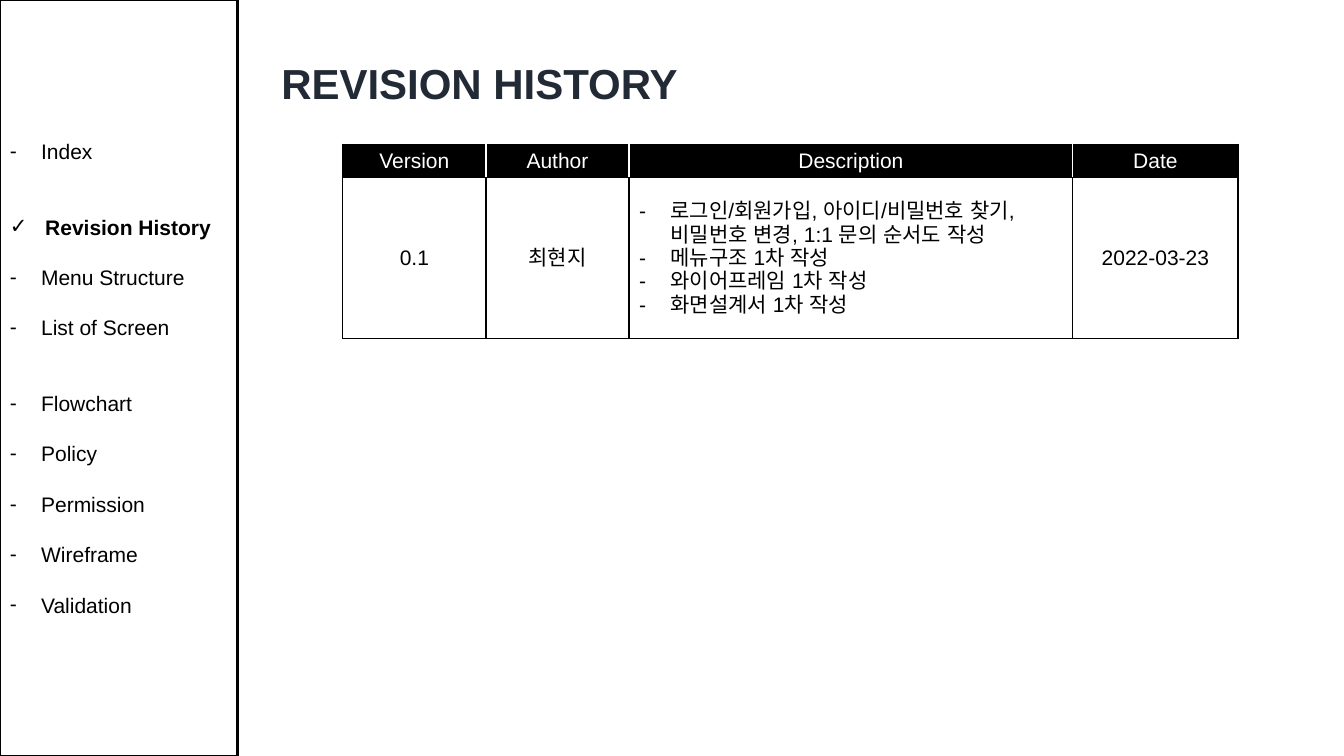
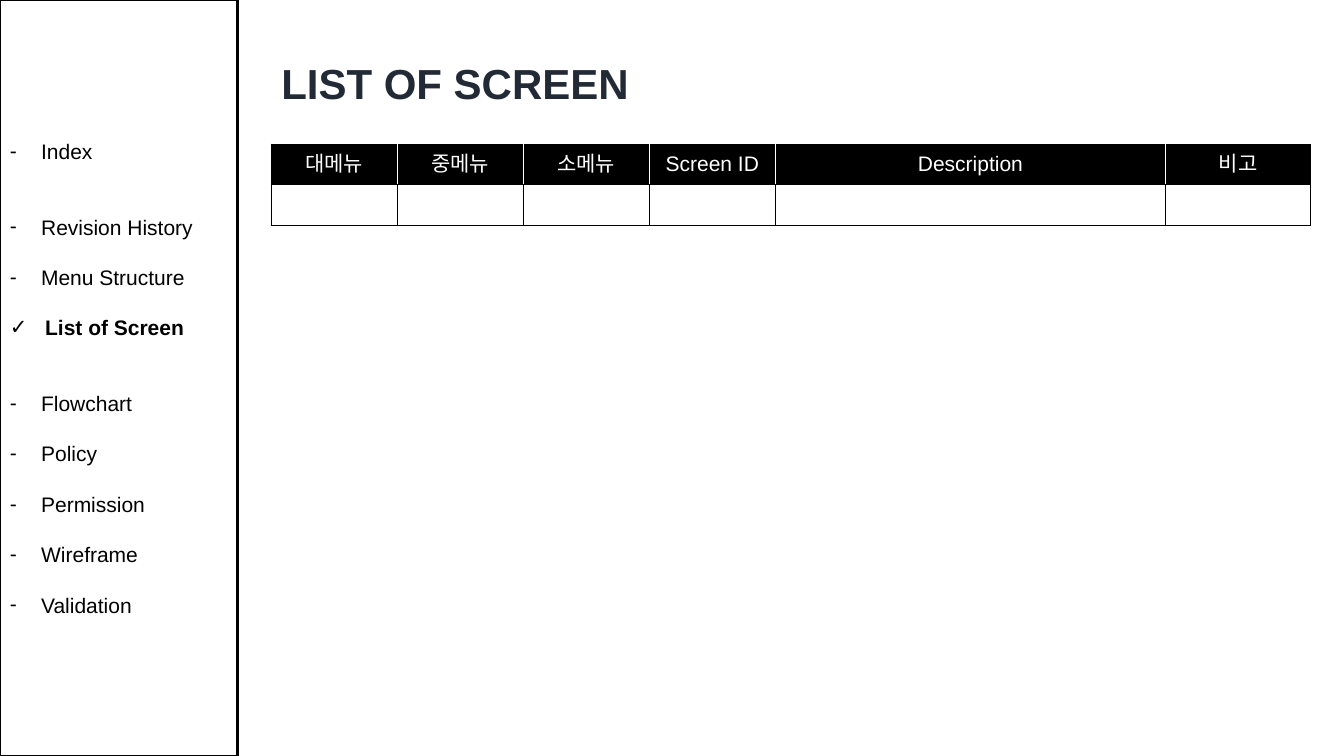
from lxml.etree import SubElement
from pptx import Presentation
from pptx.dml.color import RGBColor
from pptx.enum.shapes import MSO_SHAPE
from pptx.enum.text import MSO_ANCHOR, PP_ALIGN
from pptx.oxml.ns import qn
from pptx.util import Inches, Pt

BLACK, WHITE, NAVY = "000000", "FFFFFF", "222A35"
MENU = [
    ["Index"],
    ["Revision History", "Menu Structure", "List of Screen"],
    ["Flowchart", "Policy", "Permission", "Wireframe", "Validation"],
]


def rgb(color):
    return RGBColor.from_string(color)


class Deck:
    font = "Arial"
    size = 15
    title_size = 30
    line_pitch = 18

    def __init__(self):
        self.prs = Presentation()
        self.prs.slide_width = Inches(13.33)
        self.prs.slide_height = Inches(7.5)

    def slide(self, title, current):
        self.s = self.prs.slides.add_slide(self.prs.slide_layouts[5])
        self.title(title)
        return current

    def run(self, p, text, color=BLACK, size=size, bold=False):
        r = p.add_run()
        r.text = text
        r.font.size = Pt(size)
        r.font.bold = bold
        r.font.name = self.font
        r.font.color.rgb = rgb(color)
        SubElement(r._r.get_or_add_rPr(), qn("a:ea"), typeface=self.font)

    def bullet(self, p, char="-", indent=0.31):
        p.alignment = PP_ALIGN.LEFT
        pPr = p._p.get_or_add_pPr()
        pPr.set("marL", str(Inches(indent)))
        pPr.set("indent", str(-Inches(indent)))
        SubElement(pPr, qn("a:buFont"), typeface=self.font)
        SubElement(pPr, qn("a:buChar"), char=char)

    def title(self, text):
        sp = self.s.shapes.title
        sp.left, sp.top = Inches(2.69), Inches(0.31)
        sp.width, sp.height = Inches(10.33), Inches(1.02)
        tf = sp.text_frame
        tf.word_wrap = True
        tf.vertical_anchor = MSO_ANCHOR.MIDDLE
        p = tf.paragraphs[0]
        p.alignment = PP_ALIGN.LEFT
        self.run(p, text, NAVY, self.title_size, True)

    def sidebar(self, current):
        sp = self.s.shapes.add_shape(
            MSO_SHAPE.RECTANGLE, 0, 0, Inches(2.36), Inches(7.5))
        sp.shadow.inherit = False
        sp.fill.solid()
        sp.fill.fore_color.rgb = rgb(WHITE)
        sp.line.color.rgb = rgb(BLACK)
        sp.line.width = Pt(2)
        tf = sp.text_frame
        tf.word_wrap = True
        tf.vertical_anchor = MSO_ANCHOR.MIDDLE
        for g, group in enumerate(MENU):
            for i, item in enumerate(group):
                first = g == i == 0
                p = tf.paragraphs[0] if first else tf.add_paragraph()
                p.line_spacing = Pt(self.line_pitch)
                if not first:
                    p.space_before = Pt(self.line_pitch * (1 if i else 2))
                active = item == current
                self.bullet(p, *(("✓", 0.35) if active else ()))
                self.run(p, item, bold=active)

    def borders(self, cell, left, right):
        tcPr = cell._tc.get_or_add_tcPr()
        edges = {"L": left, "R": right, "T": BLACK, "B": BLACK}
        for i, (edge, color) in enumerate(edges.items()):
            ln = tcPr.makeelement(qn(f"a:ln{edge}"), {"w": str(Pt(1))})
            fill = SubElement(ln, qn("a:solidFill"))
            SubElement(fill, qn("a:srgbClr"), val=color)
            tcPr.insert(i, ln)

    def cell(self, cell, content, header, left, right):
        cell.fill.solid()
        cell.fill.fore_color.rgb = rgb(BLACK if header else WHITE)
        cell.vertical_anchor = MSO_ANCHOR.MIDDLE
        self.borders(cell, left, right)
        tf = cell.text_frame
        listed = isinstance(content, list)
        for i, text in enumerate(content if listed else [content]):
            p = tf.add_paragraph() if i else tf.paragraphs[0]
            p.alignment = PP_ALIGN.CENTER
            if listed:
                self.bullet(p)
            if text:
                self.run(p, text, WHITE if header else BLACK)

    def table(self, left, widths, heights, rows):
        frame = self.s.shapes.add_table(
            len(rows), len(widths), Inches(left), Inches(1.43),
            Inches(sum(widths)), Inches(sum(heights)))
        table = frame.table
        table.first_row = table.horz_banding = False
        for column, width in zip(table.columns, widths):
            column.width = Inches(width)
        last = len(widths) - 1
        for r, (values, height) in enumerate(zip(rows, heights)):
            table.rows[r].height = Inches(height)
            header = r == 0
            inner = WHITE if header else BLACK
            for c, value in enumerate(values):
                self.cell(table.cell(r, c), value, header,
                          inner if c else BLACK,
                          inner if c < last else BLACK)


def main():
    deck = Deck()

    current = deck.slide("REVISION HISTORY", "Revision History")
    changes = [
        "로그인/회원가입, 아이디/비밀번호 찾기, 비밀번호 변경, 1:1 문의 순서도 작성",
        "메뉴구조 1차 작성",
        "와이어프레임 1차 작성",
        "화면설계서 1차 작성",
    ]
    deck.table(3.4, [1.42, 1.42, 4.4, 1.64], [0.33, 1.6], [
        ["Version", "Author", "Description", "Date"],
        ["0.1", "최현지", changes, "2022-03-23"],
    ])
    deck.sidebar(current)

    current = deck.slide("LIST OF SCREEN", "List of Screen")
    headings = ["대메뉴", "중메뉴", "소메뉴", "Screen ID", "Description", "비고"]
    deck.table(2.69, [1.25] * 4 + [3.87, 1.44], [0.4, 0.41],
               [headings, [""] * len(headings)])
    deck.sidebar(current)

    deck.prs.save("out.pptx")


if __name__ == "__main__":
    main()
